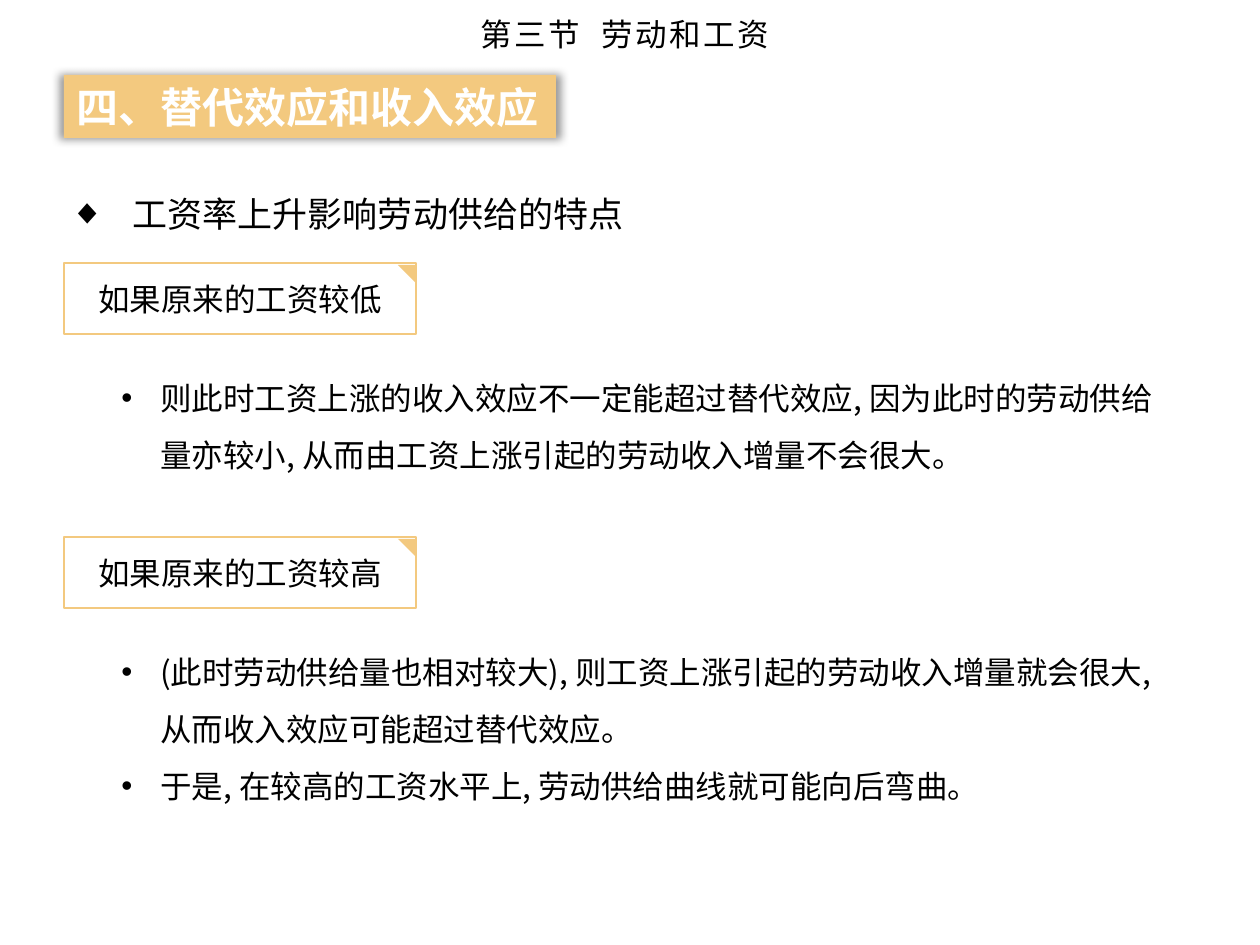
import pptx
import pptx.util
import pptx.dml.color
import pptx.enum.shapes
import pptx.enum.text
import pptx.oxml
import pptx.oxml.ns
from dataclasses import dataclass

PX = 914400 / 126
SHAPE = pptx.enum.shapes.MSO_SHAPE
ALIGN = pptx.enum.text.PP_ALIGN
ANCHOR = pptx.enum.text.MSO_ANCHOR
RGB = pptx.dml.color.RGBColor


@dataclass(frozen=True)
class Theme:
    font: str = "Noto Sans CJK SC"
    ink: RGB = RGB(0, 0, 0)
    paper: RGB = RGB(255, 255, 255)
    accent: RGB = RGB(0xF3, 0xC9, 0x7F)
    body: int = 18
    lead: int = 20
    banner: int = 24
    spacing: float = 1.5


theme = Theme()


def place(sp, *box):
    sp.left, sp.top, sp.width, sp.height = (round(v * PX) for v in box)


def write(p, text, size, color=theme.ink, align=ALIGN.LEFT, bold=False, bullet=None, indent=0):
    """Fill a paragraph; a bullet hangs by indent px."""
    p.text = text
    p.alignment = align
    p.space_before = pptx.util.Pt(0)
    if bullet:
        p.line_spacing = theme.spacing
        pPr = p._p.get_or_add_pPr()
        pPr.set("marL", str(round(indent * PX)))
        pPr.set("indent", str(-round(indent * PX)))
        for tag, key, value in (("buFont", "typeface", "Arial"), ("buChar", "char", bullet)):
            pPr.append(pPr.makeelement(pptx.oxml.ns.qn("a:" + tag), {key: value}))
    for r in p.runs:
        r.font.size = pptx.util.Pt(size)
        r.font.bold = bold
        r.font.color.rgb = color
        r.font.name = theme.font
        rPr = r._r.get_or_add_rPr()
        rPr.append(rPr.makeelement(pptx.oxml.ns.qn("a:ea"), {"typeface": theme.font}))


prs = pptx.Presentation()
prs.slide_width = pptx.util.Inches(10)
prs.slide_height = pptx.util.Inches(7.5)
s = prs.slides.add_slide(prs.slide_layouts[1])

# Section title
title = s.shapes.title
place(title, 143, 0, 964, 67)
tf = title.text_frame
tf.vertical_anchor = ANCHOR.MIDDLE
write(tf.paragraphs[0], "第三节  劳动和工资", theme.body, align=ALIGN.CENTER)
for r in tf.paragraphs[0].runs:
    r._r.get_or_add_rPr().set("spc", "150")

# Topic banner with a shadow spreading evenly on all sides
banner = s.shapes.add_shape(SHAPE.RECTANGLE, 0, 0, 0, 0)
place(banner, 64, 75, 492, 63)
banner.fill.solid()
banner.fill.fore_color.rgb = theme.accent
banner.line.fill.background()
banner._element.spPr.append(pptx.oxml.parse_xml(
    '<a:effectLst xmlns:a="http://schemas.openxmlformats.org/drawingml/2006/main">'
    '<a:outerShdw blurRad="63500" sx="102000" sy="102000" algn="ctr" rotWithShape="0">'
    '<a:srgbClr val="000000"><a:alpha val="40000"/></a:srgbClr>'
    '</a:outerShdw></a:effectLst>'))
tf = banner.text_frame
tf.word_wrap = False
tf.vertical_anchor = ANCHOR.MIDDLE
write(tf.paragraphs[0], "四、替代效应和收入效应", theme.banner, theme.paper, bold=True)

# Lead point
body = s.placeholders[1]
place(body, 57, 165, 1134, 77)
write(body.text_frame.paragraphs[0], "工资率上升影响劳动供给的特点", theme.lead,
      bullet="◆", indent=63)

# Two cases: a labelled card with its explanation below
cases = [
    (263, "如果原来的工资较低", [
        "则此时工资上涨的收入效应不一定能超过替代效应, 因为此时的劳动供给量亦较小, "
        "从而由工资上涨引起的劳动收入增量不会很大。"]),
    (537, "如果原来的工资较高", [
        "(此时劳动供给量也相对较大), 则工资上涨引起的劳动收入增量就会很大, "
        "从而收入效应可能超过替代效应。",
        "于是, 在较高的工资水平上, 劳动供给曲线就可能向后弯曲。"]),
]
for top, label, points in cases:
    card = s.shapes.add_shape(SHAPE.RECTANGLE, 0, 0, 0, 0)
    place(card, 64, top, 352, 71)
    card.shadow.inherit = False
    card.fill.solid()
    card.fill.fore_color.rgb = theme.paper
    card.line.color.rgb = theme.accent
    card.line.width = pptx.util.Pt(1.5)
    tf = card.text_frame
    tf.margin_left = tf.margin_top = tf.margin_right = tf.margin_bottom = 0
    tf.vertical_anchor = ANCHOR.MIDDLE
    write(tf.paragraphs[0], label, theme.body, align=ALIGN.CENTER)

    corner = s.shapes.add_shape(SHAPE.RIGHT_TRIANGLE, 0, 0, 0, 0)
    place(corner, 398, top + 2, 18, 18)
    corner.rotation = 180
    corner.shadow.inherit = False
    corner.fill.solid()
    corner.fill.fore_color.rgb = theme.accent
    corner.line.fill.background()

    box = s.shapes.add_textbox(0, 0, 0, 0)
    place(box, 109, top + 91, 1057, 57 * (len(points) + 1) + 13)
    tf = box.text_frame
    tf.word_wrap = True
    for i, point in enumerate(points):
        p = tf.add_paragraph() if i else tf.paragraphs[0]
        write(p, point, theme.body, bullet="•", indent=39)

prs.save("out.pptx")
